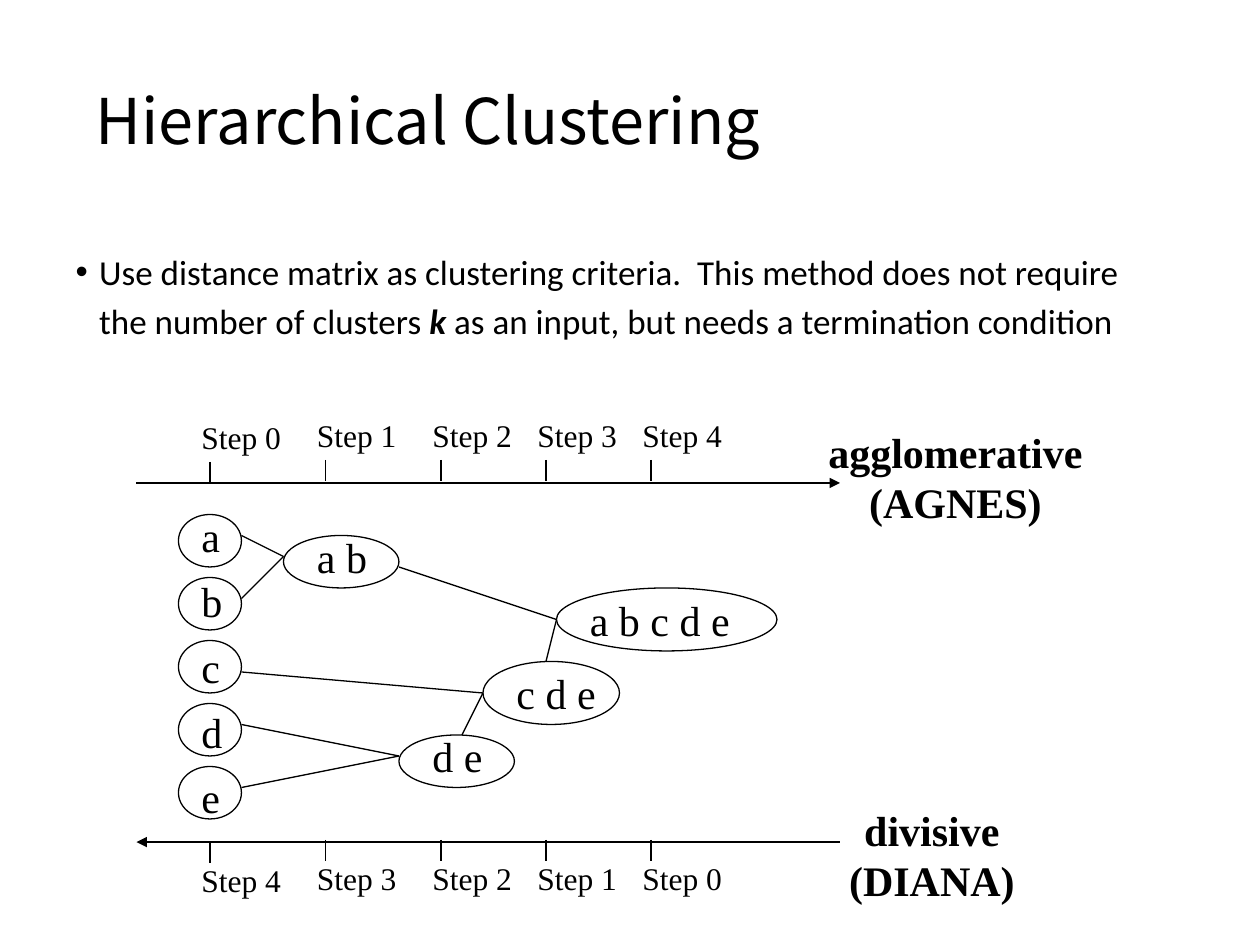
from typing import NamedTuple

from lxml.etree import SubElement
from pptx import Presentation
from pptx.dml.color import RGBColor
from pptx.enum.shapes import MSO_CONNECTOR as Conn, MSO_SHAPE as Shape
from pptx.enum.text import MSO_ANCHOR as Anchor, MSO_AUTO_SIZE as Fit, PP_ALIGN as Align
from pptx.oxml.ns import qn
from pptx.util import Pt

SERIF = "Times New Roman"
INK = "000000"


class Node(NamedTuple):
    text: str
    left: float
    top: float
    width: float
    height: float
    text_x: float
    text_y: float
    text_w: float


class Link(NamedTuple):
    x1: float
    y1: float
    x2: float
    y2: float


class Scale(NamedTuple):
    """A step axis: its line, the usual top of its ticks and labels, and its caption."""
    axis_y: float
    tick_y: float
    label_y: float
    steps: tuple[int, ...]
    arrow: str
    caption: tuple[str, str]
    cap_x: float
    cap_y: float
    cap_w: float


LEAVES = [Node(name, 102, 294 + 36 * i, 36, 30, 108, 288 + 37.4 * i, 26)
          for i, name in enumerate("abcde")]
MERGED = [
    Node("a b", 162, 306, 66, 30, 174, 300, 43),
    Node("d e", 228, 420, 66, 30, 240, 414, 43),
    Node("c d e", 276, 378, 78, 36, 288, 378, 60),
    Node("a b c d e", 318, 336, 126, 36, 330, 336, 94.5),
]
LINKS = [
    Link(138, 306, 162, 318), Link(138, 342, 162, 318),
    Link(138, 414, 228, 432), Link(138, 450, 228, 432),
    Link(138, 384, 276, 396), Link(264, 420, 276, 396),
    Link(228, 324, 318, 354), Link(312, 378, 318, 354),
]
TICKS = (120, 186, 252, 312, 372)
SCALES = [
    Scale(276, 262.8, 234, (0, 1, 2, 3, 4), "a:tailEnd",
          ("agglomerative", "(AGNES)"), 466, 240, 160),
    Scale(481.2, 480, 487.2, (4, 3, 2, 1, 0), "a:headEnd",
          ("divisive", "(DIANA)"), 478, 456, 109),
]


def color(code: str) -> RGBColor:
    return RGBColor.from_string(code)


def place(shape, left: float, top: float, width: float, height: float) -> None:
    shape.left, shape.top = Pt(left), Pt(top)
    shape.width, shape.height = Pt(width), Pt(height)


def add_run(para, text: str, size: float, face: str, bold: bool = False,
            slant: bool = False) -> None:
    run = para.add_run()
    run.text = text
    font = run.font
    font.name, font.size = face, Pt(size)
    font.bold, font.italic = bold, slant
    font.color.rgb = color(INK)


def add_label(shapes, lines: tuple[str, ...], left: float, top: float, width: float,
              height: float, size: float, bold: bool = False,
              align: Align = Align.LEFT) -> None:
    frame = shapes.add_textbox(Pt(left), Pt(top), Pt(width), Pt(height)).text_frame
    frame.word_wrap = False
    for i, line in enumerate(lines):
        para = frame.add_paragraph() if i else frame.paragraphs[0]
        para.alignment = align
        add_run(para, line, size, SERIF, bold)


def add_line(shapes, link: Link, weight: float = 0.75, arrow: str = "") -> None:
    line = shapes.add_connector(Conn.STRAIGHT, *(Pt(v) for v in link))
    line.line.color.rgb = color(INK)
    line.line.width = Pt(weight)
    props = line.line._get_or_add_ln()
    if arrow:
        SubElement(props, qn(arrow), type="triangle")
    SubElement(line._element.spPr, qn("a:effectLst"))


def add_node(shapes, node: Node) -> None:
    add_label(shapes, (node.text,), node.text_x, node.text_y, node.text_w, 36, 24)
    oval = shapes.add_shape(Shape.OVAL, Pt(node.left), Pt(node.top),
                            Pt(node.width), Pt(node.height))
    oval.shadow.inherit = False
    oval.fill.background()
    oval.line.color.rgb = color(INK)
    oval.line.width = Pt(0.75)


def add_scale(shapes, scale: Scale) -> None:
    add_line(shapes, Link(78, scale.axis_y, 480, scale.axis_y), 1.5, scale.arrow)
    for i, (x, step) in enumerate(zip(TICKS, scale.steps)):
        drop = 0 if i else 1.2  # the first step sits slightly lower
        top = scale.tick_y + drop
        add_line(shapes, Link(x, top, x, top + 12))
        add_label(shapes, (f"Step {step}",), x - 12, scale.label_y + drop, 60, 29, 18)
    add_label(shapes, scale.caption, scale.cap_x, scale.cap_y, scale.cap_w, 65, 24,
              True, Align.CENTER)


def fill_title(title) -> None:
    place(title, 47.5, 38, 607, 65.5)
    frame = title.text_frame
    frame.auto_size, frame.vertical_anchor = Fit.NONE, Anchor.MIDDLE
    para = frame.paragraphs[0]
    para.alignment, para.line_spacing = Align.LEFT, 0.9
    add_run(para, "Hierarchical Clustering", 36, "Noto Sans CJK SC")


def fill_body(body) -> None:
    place(body, 36, 142, 642, 340.5)
    frame = body.text_frame
    frame.auto_size, frame.vertical_anchor = Fit.NONE, Anchor.TOP
    para = frame.paragraphs[0]
    props = para._p.get_or_add_pPr()
    props.set("marL", str(Pt(13.5)))
    props.set("indent", str(Pt(-13.5)))
    SubElement(props, qn("a:buFont"), typeface="Arial")
    SubElement(props, qn("a:buChar"), char="•")
    para.line_spacing, para.space_before = 0.9, Pt(0)
    add_run(para, "Use distance matrix as clustering criteria.  This method does not "
                  "require the number of clusters ", 20, "Calibri")
    add_run(para, "k", 20, "Calibri", True, True)
    add_run(para, " as an input, but needs a termination condition", 20, "Calibri")
    add_run(para, " ", 28, "Calibri")


def main() -> None:
    deck = Presentation()
    deck.slide_width, deck.slide_height = Pt(720), Pt(540)
    slide = deck.slides.add_slide(deck.slide_layouts[1])
    fill_title(slide.shapes.title)
    fill_body(slide.placeholders[1])
    chart = slide.shapes.add_group_shape().shapes
    for scale in SCALES:
        add_scale(chart, scale)
    for node in LEAVES + MERGED:
        add_node(chart, node)
    for link in LINKS:
        add_line(chart, link)
    deck.save("out.pptx")


if __name__ == "__main__":
    main()
